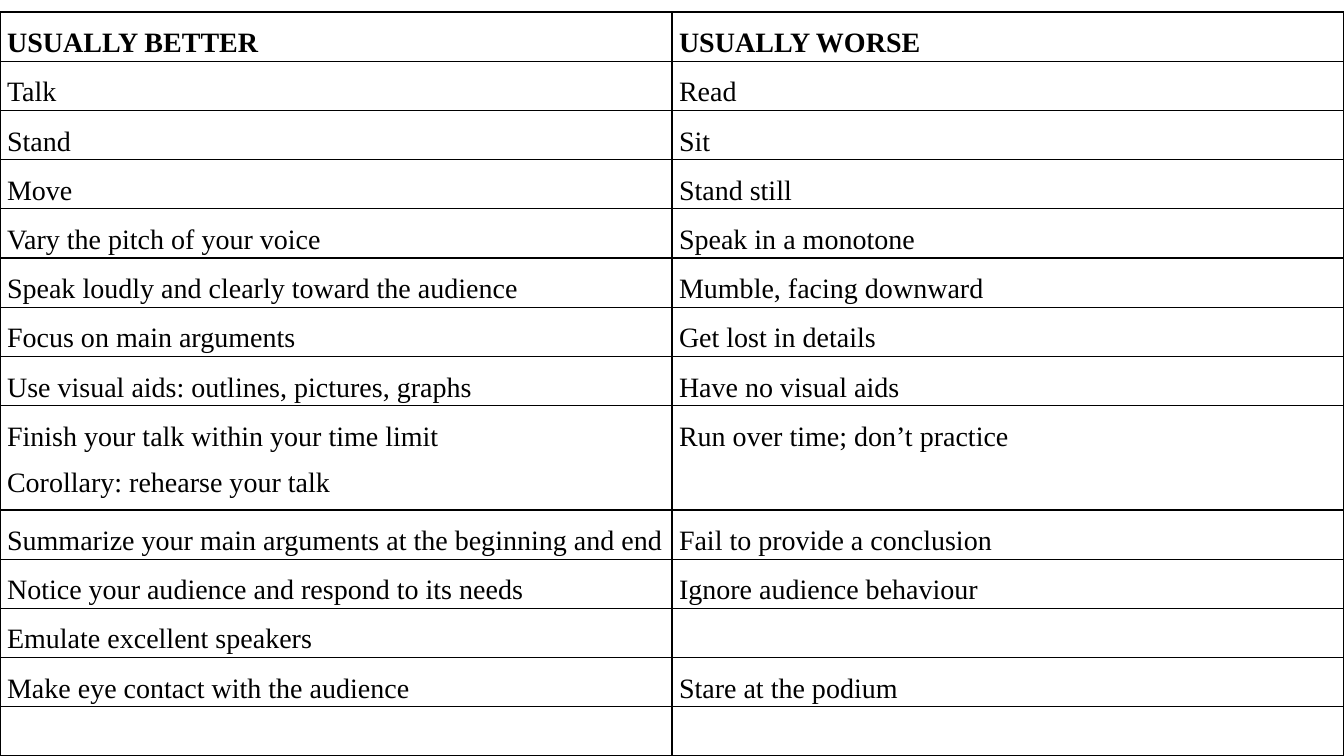
"""Build a slide that compares better and worse habits for giving talks."""
from dataclasses import dataclass

from lxml.etree import SubElement
from pptx import Presentation
from pptx.dml.color import RGBColor
from pptx.enum.text import PP_ALIGN
from pptx.oxml.ns import qn
from pptx.util import Pt


@dataclass(frozen=True)
class Theme:
    """Colours, type and line sizes of the slide."""
    ink: str = "000000"
    font: str = "Times New Roman"
    size: float = 20
    line_spacing: float = 1.5
    border: float = 1
    inset: float = 5.04


THEME = Theme()
SLIDE_WIDTH, SLIDE_HEIGHT = 960, 540
TABLE_TOP = 8.6
ROW_HEIGHT = 35.15
TALL_ROW_HEIGHT = 74.45

HABITS = [
    ("USUALLY BETTER", "USUALLY WORSE"),
    ("Talk", "Read"),
    ("Stand", "Sit"),
    ("Move", "Stand still"),
    ("Vary the pitch of your voice", "Speak in a monotone"),
    ("Speak loudly and clearly toward the audience", "Mumble, facing downward"),
    ("Focus on main arguments", "Get lost in details"),
    ("Use visual aids: outlines, pictures, graphs", "Have no visual aids"),
    ("Finish your talk within your time limit\nCorollary: rehearse your talk",
     "Run over time; don’t practice"),
    ("Summarize your main arguments at the beginning and end",
     "Fail to provide a conclusion"),
    ("Notice your audience and respond to its needs", "Ignore audience behaviour"),
    ("Emulate excellent speakers", ""),
    ("Make eye contact with the audience", "Stare at the podium"),
    ("", ""),
]


def add_borders(cell, color, width):
    """Draw a solid line on all four sides of a cell."""
    properties = cell._tc.get_or_add_tcPr()
    for position, side in enumerate(("a:lnL", "a:lnR", "a:lnT", "a:lnB")):
        line = properties.makeelement(qn(side), {"w": str(Pt(width))})
        properties.insert(position, line)
        fill = SubElement(line, qn("a:solidFill"))
        SubElement(fill, qn("a:srgbClr"), {"val": color})


def write_text(frame, text, *, size, font, color, bold=False):
    """Write each line of text as a formatted paragraph."""
    for index, line in enumerate(text.split("\n")):
        para = frame.add_paragraph() if index else frame.paragraphs[0]
        para.alignment = PP_ALIGN.JUSTIFY
        para.line_spacing = THEME.line_spacing
        if line:
            span = para.add_run()
            span.text = line
            span.font.size = Pt(size)
            span.font.name = font
            span.font.bold = bold
            span.font.color.rgb = RGBColor.from_string(color)


def format_cell(cell):
    """Give a cell its margins, empty fill and borders."""
    cell.margin_left = cell.margin_right = Pt(THEME.inset)
    cell.margin_top = cell.margin_bottom = Pt(0)
    cell.fill.background()
    add_borders(cell, THEME.ink, THEME.border)


def add_habit_table(page, habits):
    """Add the full-width comparison table."""
    frame = page.shapes.add_table(
        len(habits), len(habits[0]), Pt(0), Pt(TABLE_TOP),
        Pt(SLIDE_WIDTH), Pt(SLIDE_HEIGHT - TABLE_TOP))
    table = frame.table
    table.first_row = table.horz_banding = False
    for row_index, texts in enumerate(habits):
        is_tall = any("\n" in text for text in texts)
        table.rows[row_index].height = Pt(TALL_ROW_HEIGHT if is_tall else ROW_HEIGHT)
        for column_index, text in enumerate(texts):
            cell = table.cell(row_index, column_index)
            format_cell(cell)
            write_text(cell.text_frame, text, size=THEME.size, font=THEME.font,
                       color=THEME.ink, bold=row_index == 0)


def main():
    """Create the deck and save it."""
    deck = Presentation()
    deck.slide_width, deck.slide_height = Pt(SLIDE_WIDTH), Pt(SLIDE_HEIGHT)
    page = deck.slides.add_slide(deck.slide_layouts[6])
    add_habit_table(page, HABITS)
    deck.save("out.pptx")


if __name__ == "__main__":
    main()
